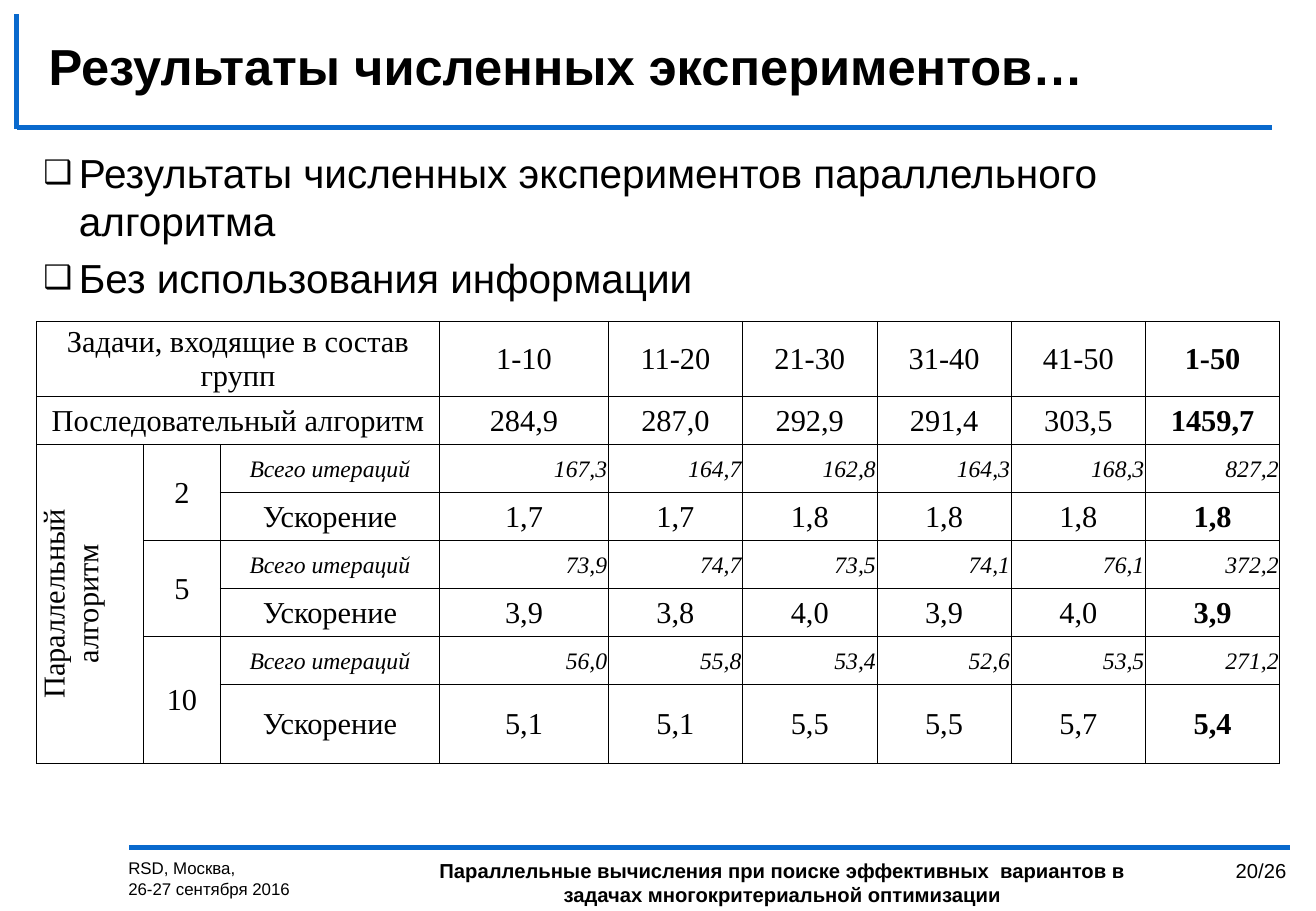
from lxml.etree import SubElement
from pptx import Presentation
from pptx.dml.color import RGBColor
from pptx.enum.shapes import MSO_CONNECTOR as Connector
from pptx.enum.text import MSO_ANCHOR as Anchor, PP_ALIGN as Align
from pptx.oxml.ns import qn
from pptx.util import Pt

COLORS = {"text": "000000", "rule": "0969CD", "border": "000000"}
HEADING_FONT = "Arial"
TABLE_FONT = "Times New Roman"

COLUMN_WIDTHS = [63.5, 45.5, 130, 100] + [79.6] * 5
ROW_HEIGHTS = [44.5] + [28.5] * 6 + [46.5]
HEADER_ROWS = [
    ["Задачи, входящие в состав групп", "1-10", "11-20", "21-30", "31-40", "41-50", "1-50"],
    ["Последовательный алгоритм", "284,9", "287,0", "292,9", "291,4", "303,5", "1459,7"],
]
PARALLEL_RESULTS = {
    "2": (["167,3", "164,7", "162,8", "164,3", "168,3", "827,2"],
          ["1,7", "1,7", "1,8", "1,8", "1,8", "1,8"]),
    "5": (["73,9", "74,7", "73,5", "74,1", "76,1", "372,2"],
          ["3,9", "3,8", "4,0", "3,9", "4,0", "3,9"]),
    "10": (["56,0", "55,8", "53,4", "52,6", "53,5", "271,2"],
           ["5,1", "5,1", "5,5", "5,5", "5,7", "5,4"]),
}


class SlideBuilder:
    def __init__(self, presentation):
        self.slide = presentation.slides.add_slide(presentation.slide_layouts[5])

    def style(self, paragraph, font, size, align=Align.LEFT, bold=False, italic=False):
        paragraph.alignment = align
        paragraph.font.name = font
        paragraph.font.size = Pt(size)
        paragraph.font.bold = bold
        paragraph.font.italic = italic
        paragraph.font.color.rgb = RGBColor.from_string(COLORS["text"])

    def title(self, text, left, top, width, height):
        title = self.slide.shapes.title
        title.left, title.top, title.width, title.height = map(Pt, (left, top, width, height))
        title.text_frame.text = text
        title.text_frame.vertical_anchor = Anchor.MIDDLE
        self.style(title.text_frame.paragraphs[0], HEADING_FONT, 30, bold=True)

    def rule(self, *ends):
        line = self.slide.shapes.add_connector(Connector.STRAIGHT, *map(Pt, ends))
        line.line.color.rgb = RGBColor.from_string(COLORS["rule"])
        line.line.width = Pt(3)
        SubElement(line._element.spPr, qn("a:effectLst"))

    def text(self, lines, left, top, width, height, size, align=Align.LEFT, bold=False):
        box = self.slide.shapes.add_textbox(*map(Pt, (left, top, width, height)))
        frame = box.text_frame
        frame.word_wrap = True
        frame.text = "\n".join(lines)
        for paragraph in frame.paragraphs:
            self.style(paragraph, HEADING_FONT, size, align, bold)
        return frame

    def bullets(self, lines, left, top, width, height, size):
        for paragraph in self.text(lines, left, top, width, height, size).paragraphs:
            paragraph.space_before = Pt(5)
            properties = paragraph._p.get_or_add_pPr()
            properties.set("marL", str(Pt(21)))
            properties.set("indent", str(-Pt(21)))
            bullet_size = properties.makeelement(qn("a:buSzPct"), {"val": "80000"})
            bullet_font = properties.makeelement(qn("a:buFont"), {"typeface": HEADING_FONT})
            bullet = properties.makeelement(qn("a:buChar"), {"char": "❑"})
            position = properties.index(properties.find(qn("a:defRPr")))
            properties[position:position] = [bullet_size, bullet_font, bullet]

    def table(self, left, top, column_widths, row_heights):
        size = sum(column_widths), sum(row_heights)
        frame = self.slide.shapes.add_table(
            len(row_heights), len(column_widths), *map(Pt, (left, top, *size)))
        table = frame.table
        table.first_row = table.horz_banding = False
        for column, width in zip(table.columns, column_widths):
            column.width = Pt(width)
        for row, height in zip(table.rows, row_heights):
            row.height = Pt(height)
        for cell in table.iter_cells():
            self.frame_cell(cell)
        return table

    def frame_cell(self, cell):
        cell.vertical_anchor = Anchor.MIDDLE
        cell.margin_left = cell.margin_right = cell.margin_top = Pt(0.7)
        cell.margin_bottom = Pt(0)
        properties = cell._tc.get_or_add_tcPr()
        for side in ("a:lnL", "a:lnR", "a:lnT", "a:lnB"):
            border = SubElement(properties, qn(side), w=str(Pt(0.5)))
            fill = SubElement(border, qn("a:solidFill"))
            SubElement(fill, qn("a:srgbClr"), val=COLORS["border"])
        cell.fill.background()

    def cell(self, cell, text, size=18, align=Align.CENTER, bold=False, italic=False):
        cell.text = text
        self.style(cell.text_frame.paragraphs[0], TABLE_FONT, size, align, bold, italic)

    def values(self, table, row, values, iterations=False):
        for column, value in enumerate(values, start=3):
            if iterations:
                self.cell(table.cell(row, column), value, 14, Align.RIGHT, italic=True)
            else:
                self.cell(table.cell(row, column), value, bold=column == 8)


def fill_results(builder, table):
    for row, (label, *values) in enumerate(HEADER_ROWS):
        table.cell(row, 0).merge(table.cell(row, 2))
        builder.cell(table.cell(row, 0), label)
        builder.values(table, row, values)

    algorithm = table.cell(2, 0)
    algorithm.merge(table.cell(7, 0))
    builder.cell(algorithm, "Параллельный\vалгоритм")
    algorithm._tc.tcPr.set("vert", "vert270")

    for group, (processors, (iterations, speedups)) in enumerate(PARALLEL_RESULTS.items()):
        row = 2 + 2 * group
        table.cell(row, 1).merge(table.cell(row + 1, 1))
        builder.cell(table.cell(row, 1), processors)
        builder.cell(table.cell(row, 2), "Всего итераций", 14, italic=True)
        builder.values(table, row, iterations, iterations=True)
        builder.cell(table.cell(row + 1, 2), "Ускорение")
        builder.values(table, row + 1, speedups)


def main():
    presentation = Presentation()
    presentation.slide_width, presentation.slide_height = Pt(780), Pt(540)
    builder = SlideBuilder(presentation)

    builder.rule(76.5, 502.5, 764.5, 502.5)
    builder.rule(10, 75.5, 754, 75.5)
    builder.rule(10, 8.5, 10, 76.5)
    builder.title("Результаты численных экспериментов…", 21.6, 16.5, 745, 44)
    builder.bullets(
        ["Результаты численных экспериментов параллельного алгоритма",
         "Без использования информации"], 18.7, 84, 748, 410, 24)

    table = builder.table(21.6, 190.5, COLUMN_WIDTHS, ROW_HEIGHTS)
    fill_results(builder, table)

    builder.text(["RSD, Москва,", "26-27 сентября 2016"], 69, 505, 161, 35, 10)
    builder.text(
        ["Параллельные вычисления при поиске эффективных\u00a0 вариантов в задачах "
         "многокритериальной оптимизации"], 237, 505, 453.5, 35, 12, Align.CENTER, bold=True)
    builder.text(["20/26"], 696, 505, 73.5, 35, 12, Align.RIGHT)

    presentation.save("out.pptx")


if __name__ == "__main__":
    main()
